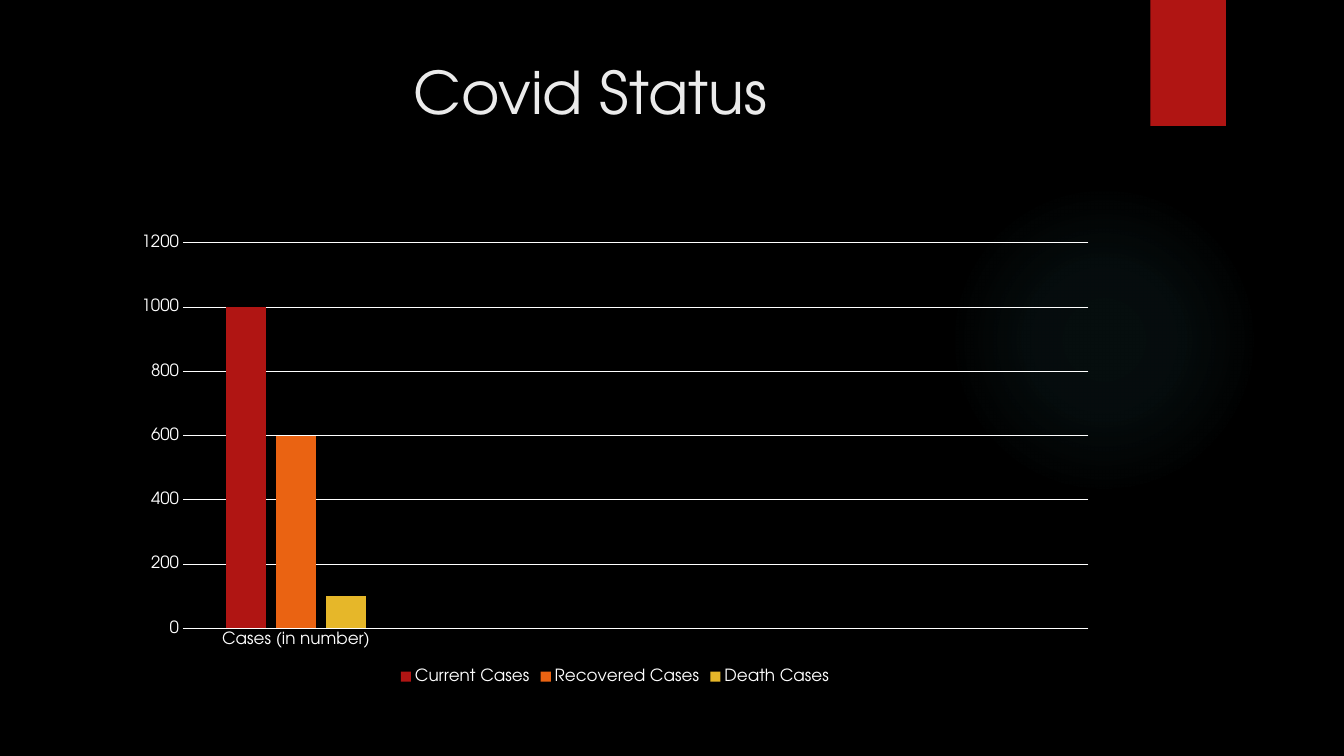
import dataclasses

import lxml.etree
import pptx
import pptx.chart.data
import pptx.dml.color
import pptx.enum.chart
import pptx.enum.shapes
import pptx.enum.text
import pptx.oxml
import pptx.oxml.ns
import pptx.util


@dataclasses.dataclass(frozen=True)
class Theme:
    font: str = "TeX Gyre Adventor"
    background: str = "000000"
    title: str = "EBEBEB"
    text: str = "FFFFFF"
    glow: str = "50B9C1"
    accents: tuple = ("B01513", "EA6312", "E6B729")
    title_size: int = 42
    chart_size: int = 12
    rule_width: float = 0.75


@dataclasses.dataclass(frozen=True)
class Box:
    left: float
    top: float
    width: float
    height: float

    def emu(self):
        return [pptx.util.Inches(length) for length in dataclasses.astuple(self)]


THEME = Theme()
GLOW_STOPS = ((0, 7), (36, 6), (69, 0))
CATEGORIES = ("Cases (in number)", "", "", "")
CASES = {"Current Cases": 1000, "Recovered Cases": 600, "Death Cases": 100}


def rgb(code):
    return pptx.dml.color.RGBColor.from_string(code)


def style_font(font, size, color):
    font.name = THEME.font
    font.size = pptx.util.Pt(size)
    font.color.rgb = rgb(color)


def style_line(line):
    line.color.rgb = rgb(THEME.text)
    line.width = pptx.util.Pt(THEME.rule_width)


def add_plain_shape(page, kind, box):
    shape = page.shapes.add_shape(kind, *box.emu())
    shape.shadow.inherit = False
    shape.line.fill.background()
    return shape


def add_glow(page, box):
    glow = add_plain_shape(page, pptx.enum.shapes.MSO_SHAPE.OVAL, box)
    glow.fill.gradient()
    stops = "".join(
        f'<a:gs pos="{position * 1000}"><a:srgbClr val="{THEME.glow}">'
        f'<a:alpha val="{opacity * 1000}"/></a:srgbClr></a:gs>'
        for position, opacity in GLOW_STOPS
    )
    gradient = pptx.oxml.parse_xml(
        f'<a:gradFill {pptx.oxml.ns.nsdecls("a")} rotWithShape="1">'
        f'<a:gsLst>{stops}</a:gsLst><a:path path="circle">'
        '<a:fillToRect l="50000" t="50000" r="50000" b="50000"/>'
        "</a:path></a:gradFill>"
    )
    properties = glow._element.spPr
    properties.replace(properties.find(pptx.oxml.ns.qn("a:gradFill")), gradient)


def add_ribbon(page, box):
    ribbon = add_plain_shape(page, pptx.enum.shapes.MSO_SHAPE.RECTANGLE, box)
    ribbon.fill.solid()
    ribbon.fill.fore_color.rgb = rgb(THEME.accents[0])


def add_title(page, box, text):
    frame = page.shapes.add_textbox(*box.emu()).text_frame
    frame.word_wrap = True
    frame.vertical_anchor = pptx.enum.text.MSO_ANCHOR.TOP
    frame.text = text
    para = frame.paragraphs[0]
    para.alignment = pptx.enum.text.PP_ALIGN.CENTER
    style_font(para.runs[0].font, THEME.title_size, THEME.title)


def add_cases_chart(page, box):
    data = pptx.chart.data.CategoryChartData()
    data.categories = CATEGORIES
    for name, value in CASES.items():
        data.add_series(name, [value] + [None] * (len(CATEGORIES) - 1))
    chart = page.shapes.add_chart(
        pptx.enum.chart.XL_CHART_TYPE.COLUMN_CLUSTERED, *box.emu(), data
    ).chart
    style_font(chart.font, THEME.chart_size, THEME.text)
    chart.has_title = False

    chart.has_legend = True
    chart.legend.position = pptx.enum.chart.XL_LEGEND_POSITION.BOTTOM
    chart.legend.include_in_layout = False
    style_font(chart.legend.font, THEME.chart_size, THEME.text)

    for axis in (chart.category_axis, chart.value_axis):
        axis.major_tick_mark = pptx.enum.chart.XL_TICK_MARK.NONE
        axis.minor_tick_mark = pptx.enum.chart.XL_TICK_MARK.NONE
        style_font(axis.tick_labels.font, THEME.chart_size, THEME.text)
    style_line(chart.category_axis.format.line)
    values = chart.value_axis
    values.format.line.fill.background()
    values.has_major_gridlines = True
    style_line(values.major_gridlines.format.line)
    values.minimum_scale, values.maximum_scale, values.major_unit = 0, 1200, 200

    plot = chart.plots[0]
    plot.vary_by_categories = False
    plot.gap_width = 219
    plot.overlap = -27
    for series, color in zip(plot.series, THEME.accents):
        series.invert_if_negative = False
        series.format.fill.solid()
        series.format.fill.fore_color.rgb = rgb(color)


def build_status_page(deck):
    page = deck.slides.add_slide(deck.slide_layouts[6])
    page.background.fill.solid()
    page.background.fill.fore_color.rgb = rgb(THEME.background)
    add_glow(page, Box(9.41, 1.83, 3.08, 3.08))
    add_ribbon(page, Box(11.41, 0, 0.75, 1.25))
    add_title(page, Box(0.71, 0.5, 10.29, 1.53), "Covid Status")
    add_cases_chart(page, Box(1.21, 2.24, 9.78, 4.59))


def main():
    deck = pptx.Presentation()
    deck.slide_width = pptx.util.Inches(13.33)
    deck.slide_height = pptx.util.Inches(7.5)
    build_status_page(deck)
    deck.save("out.pptx")


if __name__ == "__main__":
    main()
